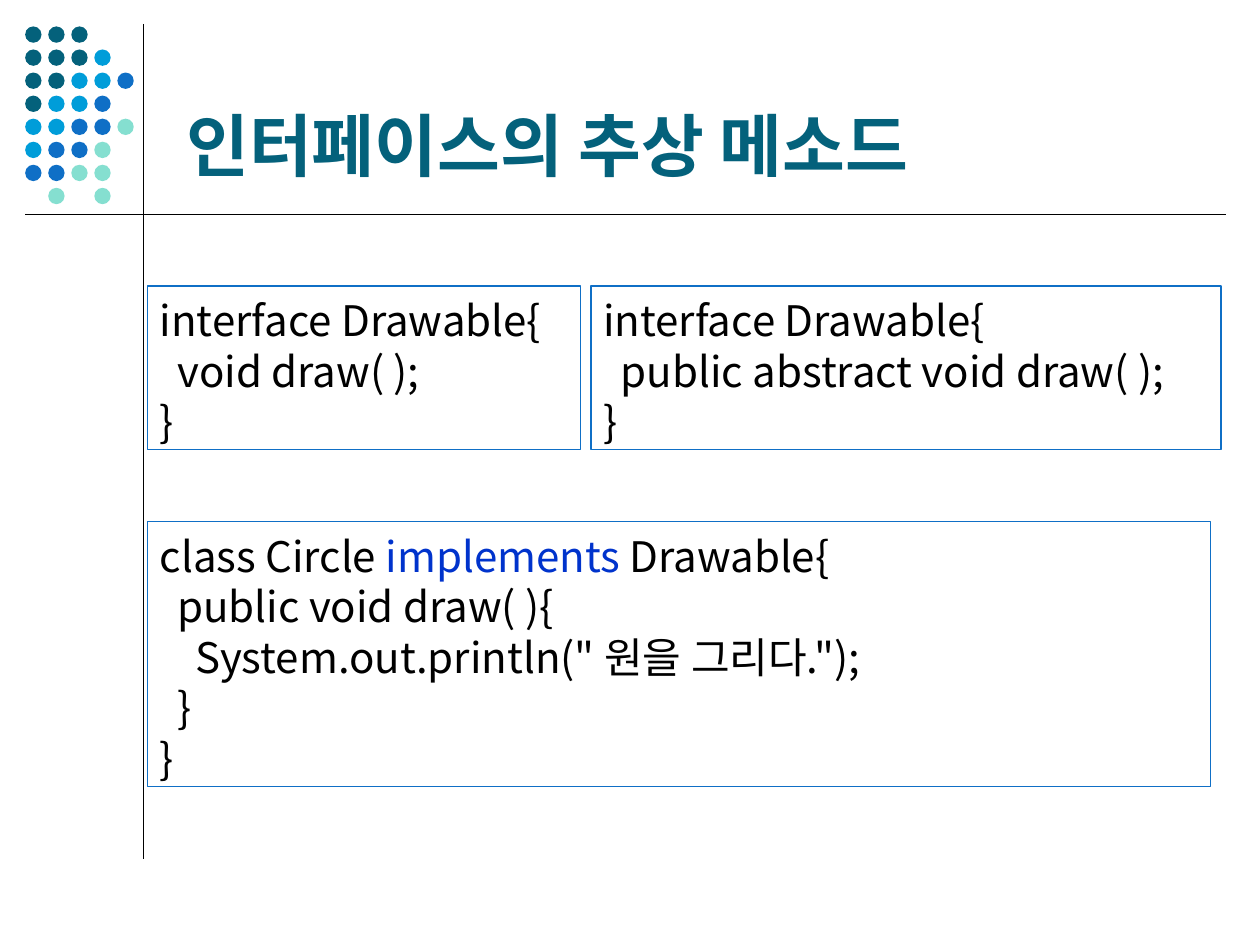
from lxml.etree import SubElement
from pptx import Presentation
from pptx.dml.color import RGBColor
from pptx.enum.shapes import MSO_CONNECTOR as Connector, MSO_SHAPE as Shape
from pptx.enum.text import MSO_ANCHOR as Anchor, MSO_AUTO_SIZE as AutoSize, PP_ALIGN as Align
from pptx.oxml.ns import qn
from pptx.util import Inches, Pt

FONT = "Noto Sans CJK KR"
BLACK, TEAL, BLUE, KEYWORD = "000000", "04617B", "0F6FC6", "0033CC"
DOT_COLORS = {"T": TEAL, "S": "009DD9", "B": BLUE, "M": "85DFD0"}
DOT_ROWS = ["TTT", "TTTS", "TTSSB", "TSSB", "SSBBM", "SBBM", "BBMM", " M M"]
DOT_LEFT, DOT_TOP, DOT_STEP, DOT_SIZE = 0.2, 0.21, 0.183, 0.13
INDENT = 0.14

SHORT_FORM = [(0, ["interface Drawable{"]), (1, ["void draw( );"]), (0, ["}"])]
FULL_FORM = [(0, ["interface Drawable{"]), (1, ["public abstract void draw( );"]), (0, ["}"])]
CIRCLE_CLASS = [
    (0, ["class Circle ", "implements", " Drawable{"]),
    (1, ["public void draw( ){"]),
    (2, ['System.out.println(" 원을 그리다.");']),
    (1, ["}"]),
    (0, ["}"]),
]


def rgb(value):
    """Return the colour for a hex string."""
    return RGBColor.from_string(value)


def format_span(span, size, color, bold=False):
    """Set size, colour, weight and both the Latin and East Asian font."""
    span.font.size = Pt(size)
    span.font.bold = bold
    span.font.color.rgb = rgb(color)
    span.font.name = FONT
    SubElement(span.font._element, qn("a:ea")).set("typeface", FONT)


def add_rule(page, start, end):
    """Draw a thin black line between two points."""
    points = [Inches(value) for value in (*start, *end)]
    rule = page.shapes.add_connector(Connector.STRAIGHT, *points)
    rule.line.color.rgb = rgb(BLACK)
    rule.line.width = Pt(0.75)
    SubElement(rule._element.spPr, qn("a:effectLst"))


def add_dots(page):
    """Draw the grid of coloured dots in the corner."""
    size = Inches(DOT_SIZE)
    for row, colors in enumerate(DOT_ROWS):
        for column, key in enumerate(colors):
            if key == " ":
                continue
            left = Inches(DOT_LEFT + column * DOT_STEP)
            top = Inches(DOT_TOP + row * DOT_STEP)
            dot = page.shapes.add_shape(Shape.OVAL, left, top, size, size)
            dot.shadow.inherit = False
            dot.fill.solid()
            dot.fill.fore_color.rgb = rgb(DOT_COLORS[key])
            dot.line.fill.background()


def set_title(page, text):
    """Place and format the title placeholder."""
    title = page.shapes.title
    title.left, title.top = Inches(1.38), Inches(0.21)
    title.width, title.height = Inches(8.25), Inches(1.26)
    frame = title.text_frame
    frame.text = text
    frame.auto_size = AutoSize.NONE
    frame.vertical_anchor = Anchor.BOTTOM
    frame.margin_bottom = 0
    para = frame.paragraphs[0]
    para.alignment = Align.LEFT
    format_span(para.runs[0], 39, TEAL, bold=True)


def add_code_box(page, left, top, width, height, lines):
    """Draw an outlined box holding indented lines of code."""
    box = page.shapes.add_shape(
        Shape.RECTANGLE, Inches(left), Inches(top), Inches(width), Inches(height))
    box.shadow.inherit = False
    box.fill.background()
    box.line.color.rgb = rgb(BLUE)
    box.line.width = Pt(0.75)
    frame = box.text_frame
    frame.word_wrap = True
    frame.vertical_anchor = Anchor.TOP
    frame.margin_top = Inches(0.07)
    frame.margin_bottom = Inches(0.03)
    for index, (level, pieces) in enumerate(lines):
        para = frame.add_paragraph() if index else frame.paragraphs[0]
        para.alignment = Align.LEFT
        para.line_spacing = Pt(28.8)
        para._p.get_or_add_pPr().set("marL", str(Inches(level * INDENT)))
        for piece in pieces:
            span = para.add_run()
            span.text = piece
            format_span(span, 24, KEYWORD if piece == "implements" else BLACK)


def main():
    """Build the slide and save the deck."""
    deck = Presentation()
    deck.slide_width, deck.slide_height = Inches(10), Inches(7.5)
    page = deck.slides.add_slide(deck.slide_layouts[5])
    add_rule(page, (1.14, 0.19), (1.14, 6.82))
    add_dots(page)
    add_rule(page, (0.2, 1.7), (9.73, 1.7))
    set_title(page, "인터페이스의 추상 메소드")
    add_code_box(page, 1.17, 2.27, 3.44, 1.3, SHORT_FORM)
    add_code_box(page, 4.69, 2.27, 5, 1.3, FULL_FORM)
    add_code_box(page, 1.17, 4.14, 8.44, 2.1, CIRCLE_CLASS)
    deck.save("out.pptx")


if __name__ == "__main__":
    main()
